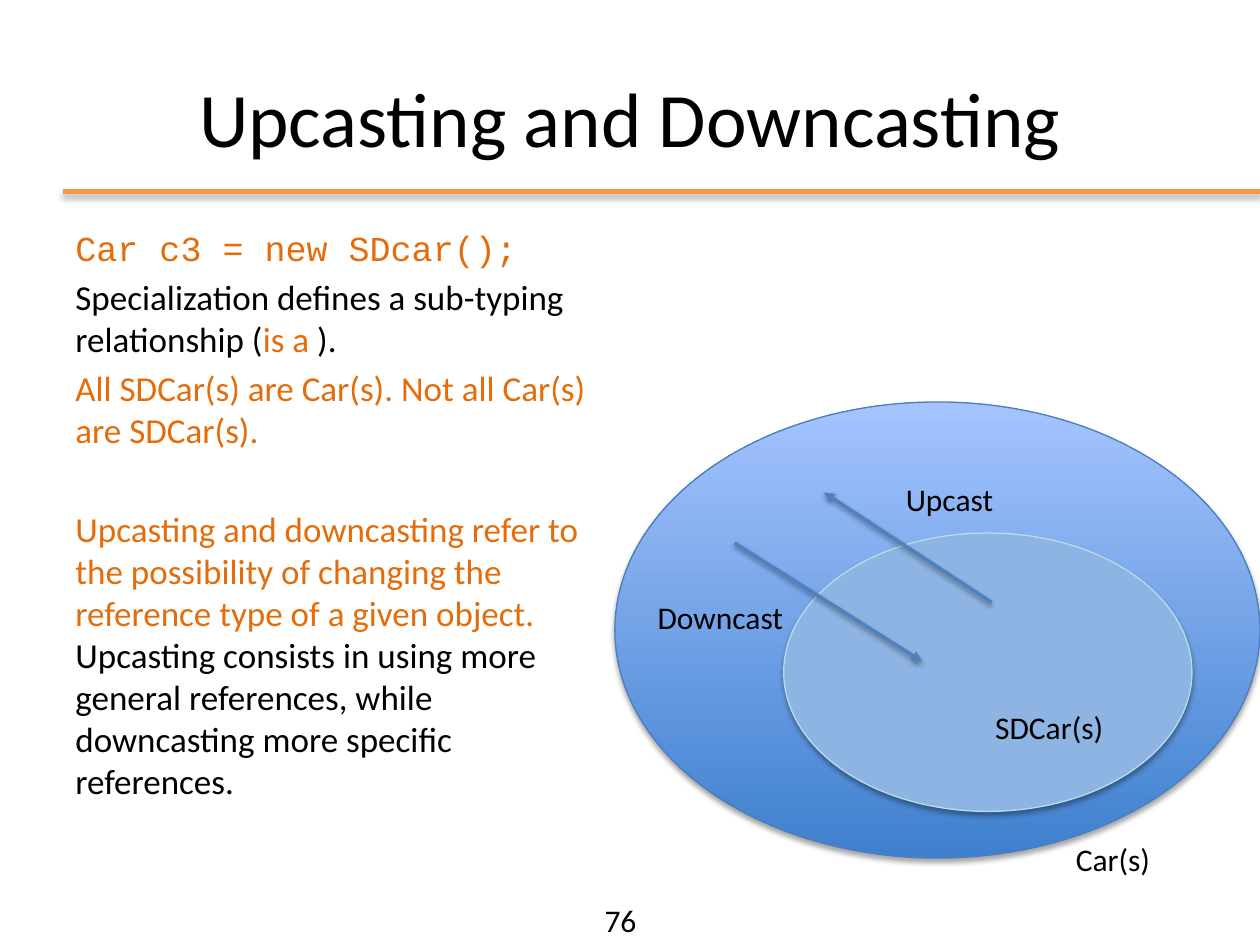
from pptx import Presentation, oxml, util as u
from pptx.dml.color import RGBColor
from pptx.enum import shapes, text
from pptx.oxml import ns

BLACK = RGBColor(0x00, 0x00, 0x00)
ORANGE = RGBColor(0xE4, 0x6C, 0x0A)
RULE = RGBColor(0xF7, 0x96, 0x46)
ARROW = RGBColor(0x4F, 0x81, 0xBD)
EDGE = RGBColor(0x4B, 0x7E, 0xBC)
DEEP = RGBColor(0x3F, 0x80, 0xCE)
LIGHT = RGBColor(0xA4, 0xC4, 0xFF)
INNER = RGBColor(0x8E, 0xB4, 0xE3)
RIM = RGBColor(0xB7, 0xDE, 0xE8)


class Deck:
    """Hold the style and the current slide, and draw each kind of element."""

    font, code = "Calibri", "Courier New"

    def __init__(self):
        self.prs = Presentation()
        self.prs.slide_width, self.prs.slide_height = u.Inches(10), u.Inches(7.5)
        self.slide = self.prs.slides.add_slide(self.prs.slide_layouts[5])

    def style(self, run, size, color=BLACK, font=font):
        run.font.size, run.font.name = u.Pt(size), font
        run.font.color.rgb = color

    def shade(self, shape, alpha=35, dist=1.8):
        props = shape._element.spPr
        old = props.find(ns.qn("a:effectLst"))
        if old is not None:
            props.remove(old)
        props.append(oxml.parse_xml(
            f'<a:effectLst {ns.nsdecls("a")}><a:outerShdw blurRad="{u.Pt(3.1)}" '
            f'dist="{u.Pt(dist)}" dir="5400000" rotWithShape="0"><a:srgbClr val="000000">'
            f'<a:alpha val="{alpha * 1000}"/></a:srgbClr></a:outerShdw></a:effectLst>'))

    def title(self, words, *box):
        shape = self.slide.shapes.title
        shape.left, shape.top, shape.width, shape.height = map(u.Inches, box)
        frame = shape.text_frame
        frame.text = words
        frame.vertical_anchor = text.MSO_ANCHOR.MIDDLE
        frame.paragraphs[0].alignment = text.PP_ALIGN.CENTER
        self.style(frame.paragraphs[0].runs[0], 44)

    def body(self, paras, *box):
        frame = self.slide.shapes.add_textbox(*map(u.Inches, box)).text_frame
        frame.word_wrap = True
        for i, (gap, runs) in enumerate(paras):
            para = frame.add_paragraph() if i else frame.paragraphs[0]
            para.space_before = u.Pt(gap)
            for words, *look in runs:
                run = para.add_run()
                run.text = words
                self.style(run, 20, *look)

    def label(self, words, *box, wrap=False):
        frame = self.slide.shapes.add_textbox(*map(u.Inches, box)).text_frame
        frame.text = words
        frame.word_wrap = wrap
        if not wrap:
            frame.auto_size = text.MSO_AUTO_SIZE.SHAPE_TO_FIT_TEXT
        self.style(frame.paragraphs[0].runs[0], 18)

    def oval(self, fills, edge, *box):
        shape = self.slide.shapes.add_shape(
            shapes.MSO_SHAPE.OVAL, *map(u.Inches, box))
        if len(fills) > 1:
            shape.fill.gradient()
            shape.fill.gradient_angle = 90
            for stop, color in zip(shape.fill.gradient_stops, fills):
                stop.color.rgb = color
        else:
            shape.fill.solid()
            shape.fill.fore_color.rgb = fills[0]
        shape.line.color.rgb, shape.line.width = edge, u.Pt(0.75)
        shape.shadow.inherit = False
        self.shade(shape)

    def line(self, color, width, *ends):
        link = self.slide.shapes.add_connector(
            shapes.MSO_CONNECTOR.STRAIGHT, *map(u.Inches, ends))
        link.line.color.rgb, link.line.width = color, u.Pt(width)
        return link

    def rule(self, *ends):
        self.shade(self.line(RULE, 3, *ends))

    def arrow(self, *ends):
        link = self.line(ARROW, 2, *ends)
        link._element.spPr.find(ns.qn("a:ln")).append(
            oxml.parse_xml(f'<a:tailEnd {ns.nsdecls("a")} type="triangle"/>'))
        self.shade(link, 38, 1.6)


def main():
    deck = Deck()
    deck.rule(0.5, 1.52, 10, 1.52)
    deck.title("Upcasting and Downcasting", 0.5, 0.3, 9, 1.25)
    deck.body([
        (4, [("Car c3 = new SDcar();", ORANGE, deck.code)]),
        (4, [("Specialization defines a sub-typing relationship (",),
             ("is a ", ORANGE), (").",)]),
        (4, [("All SDCar(s) are Car(s). Not all Car(s) are SDCar(s).", ORANGE)]),
        (32.4, [("Upcasting and downcasting refer to the possibility of changing "
                 "the reference type of a given object. ", ORANGE),
                ("Upcasting consists in using more general references, while "
                 "downcasting more specific references.",)]),
    ], 0.5, 1.75, 4.42, 4.95)
    deck.oval([DEEP, LIGHT], EDGE, 4.88, 3.19, 5.12, 3.62)
    deck.oval([INNER], RIM, 6.22, 4.23, 3.24, 2.21)
    deck.arrow(5.83, 4.31, 7.32, 5.25)
    deck.arrow(7.87, 4.78, 6.54, 3.91)
    deck.label("SDCar(s)", 7.8, 5.57, 1.07, 0.4)
    deck.label("Upcast", 7.09, 3.76, 0.91, 0.4)
    deck.label("Downcast", 5.12, 4.7, 1.21, 0.4)
    deck.label("Car(s)", 8.44, 6.62, 0.8, 0.4)
    deck.label("76", 4.7, 7.1, 5.3, 0.4, wrap=True)
    deck.prs.save("out.pptx")


if __name__ == "__main__":
    main()
